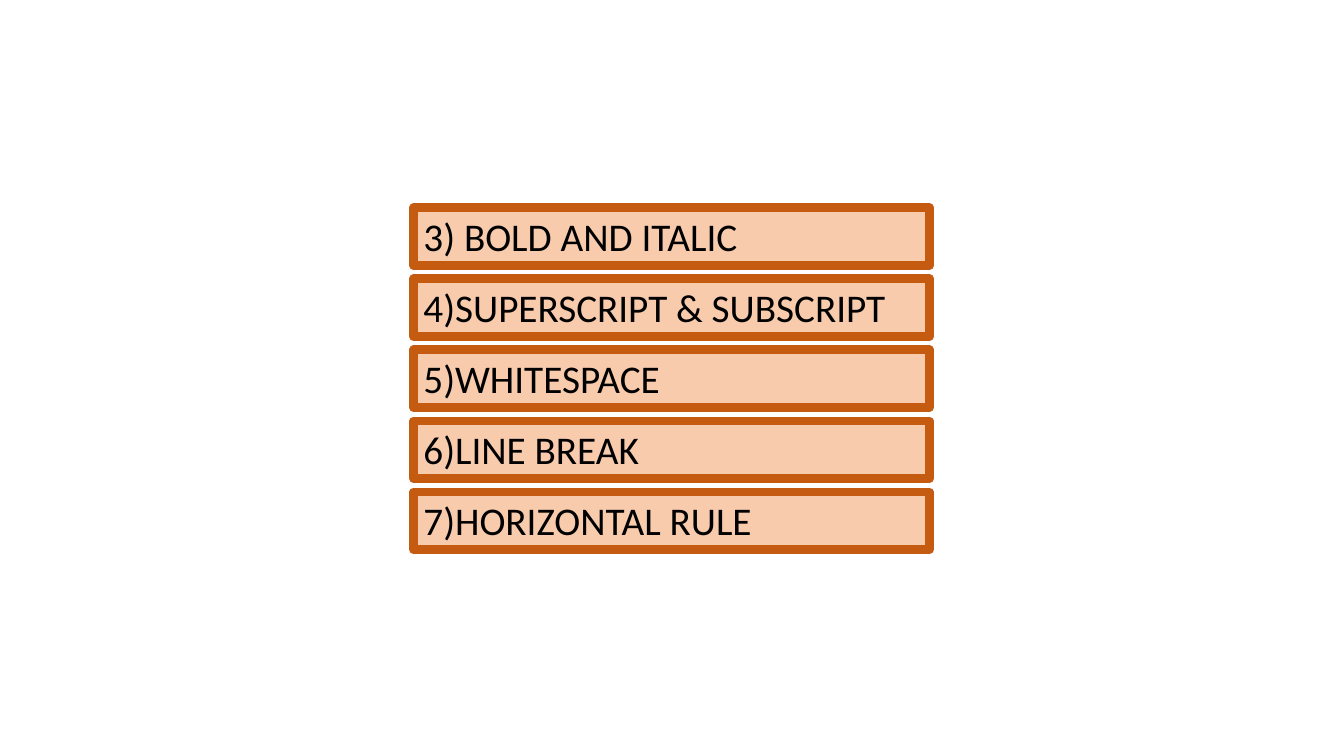
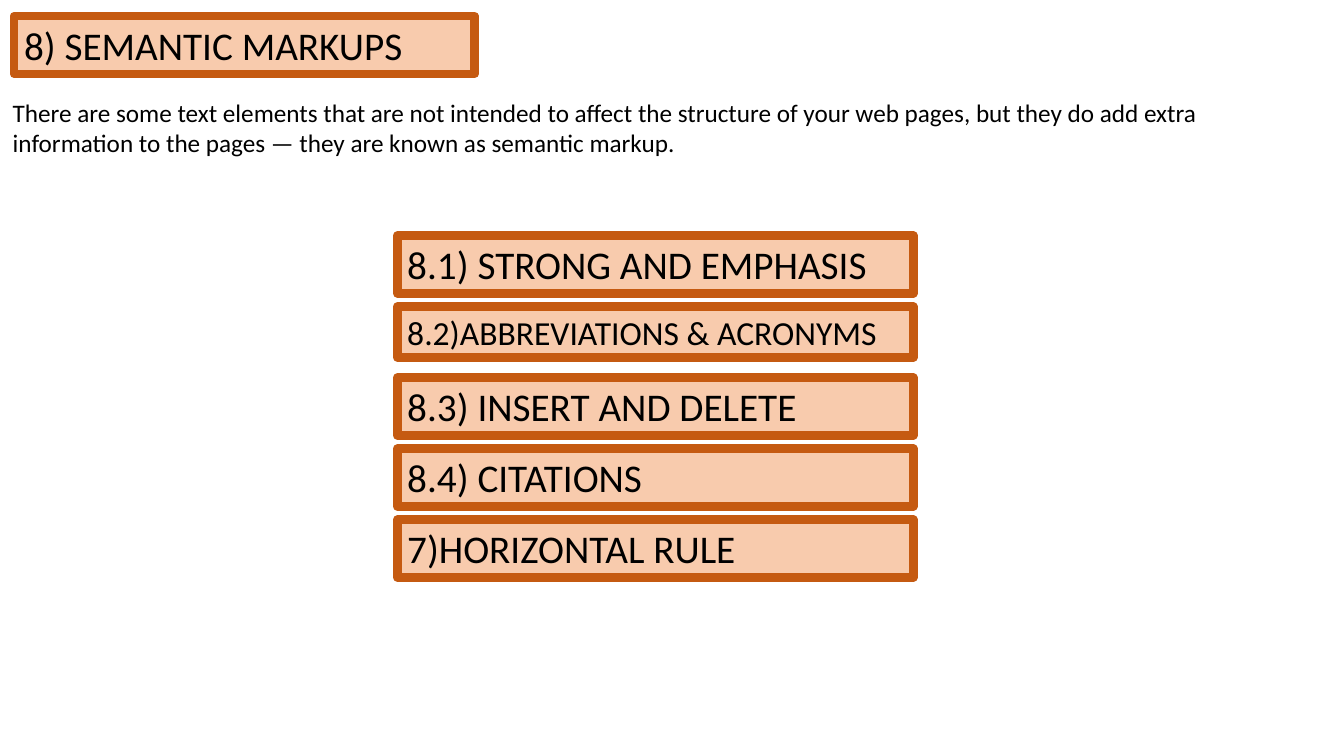
import dataclasses
import pptx
import pptx.util
import pptx.dml.color
import pptx.enum.text

Pt = pptx.util.Pt
Hex = pptx.dml.color.RGBColor.from_string
Enum = pptx.enum.text


@dataclasses.dataclass(frozen=True)
class Theme:
    face: str = "Calibri"
    ink: str = "000000"
    fill: str = "F8CBAD"
    edge: str = "C55A11"
    rim: float = 6
    body: float = 18
    small: float = 24
    large: float = 28
    pitch: float = 50.75


THEME = Theme()
FRAME = {
    "word_wrap": True,
    "auto_size": Enum.MSO_AUTO_SIZE.NONE,
    "vertical_anchor": Enum.MSO_ANCHOR.TOP,
    "margin_left": Pt(7.2),
    "margin_right": Pt(7.2),
    "margin_top": Pt(3.6),
    "margin_bottom": Pt(3.6),
}


def apply(item, values):
    for name, value in values.items():
        setattr(item, name, value)


def place(shape, box):
    apply(shape, dict(zip(("left", "top", "width", "height"), map(Pt, box))))


def write(shape, text, size):
    frame = shape.text_frame
    apply(frame, FRAME)
    line = frame.paragraphs[0]
    line.alignment = Enum.PP_ALIGN.LEFT
    run = line.add_run()
    run.text = text
    apply(run.font, {"name": THEME.face, "size": Pt(size), "bold": False})
    run.font.color.rgb = Hex(THEME.ink)


def paint(shape):
    shape.fill.solid()
    shape.fill.fore_color.rgb = Hex(THEME.fill)
    shape.line.color.rgb = Hex(THEME.edge)
    shape.line.width = Pt(THEME.rim)


def label(shape, text, size):
    paint(shape)
    write(shape, text, size)


def head(slide, box, text):
    title = slide.shapes.title
    place(title, box)
    label(title, text, THEME.large)


def note(slide, box, text):
    write(slide.shapes.add_textbox(*map(Pt, box)), text, THEME.body)


def stack(slide, box, topics):
    left, top, width = box
    group = slide.shapes.add_group_shape()
    for row, (text, size) in enumerate(topics):
        area = (left, top + row * THEME.pitch, width, size * 1.22 + 7.2)
        label(group.shapes.add_textbox(*map(Pt, area)), text, size)


def basics(deck):
    slide = deck.slides.add_slide(deck.slide_layouts.get_by_name("Blank"))
    topics = (
        "3) BOLD AND ITALIC",
        "4)SUPERSCRIPT & SUBSCRIPT",
        "5)WHITESPACE",
        "6)LINE BREAK",
        "7)HORIZONTAL RULE",
    )
    stack(slide, (295.4, 148.3, 368.6), [(text, THEME.large) for text in topics])


def markup(deck):
    slide = deck.slides.add_slide(deck.slide_layouts.get_by_name("Title Only"))
    head(slide, (10, 11.5, 329, 41.2), "8) SEMANTIC MARKUPS")
    note(
        slide,
        (2, 65.7, 933, 51),
        "There are some text elements that are not intended to affect the "
        "structure of your web pages, but they do add extra information to "
        "the pages — they are known as semantic markup.",
    )
    topics = (
        ("8.1) STRONG AND EMPHASIS", THEME.large),
        ("8.2)ABBREVIATIONS & ACRONYMS", THEME.small),
        ("8.3) INSERT AND DELETE", THEME.large),
        ("8.4) CITATIONS", THEME.large),
        ("7)HORIZONTAL RULE", THEME.large),
    )
    stack(slide, (283.8, 168.2, 368.6), topics)


def main():
    deck = pptx.Presentation()
    apply(deck, {"slide_width": Pt(960), "slide_height": Pt(540)})
    basics(deck)
    markup(deck)
    deck.save("out.pptx")


if __name__ == "__main__":
    main()
